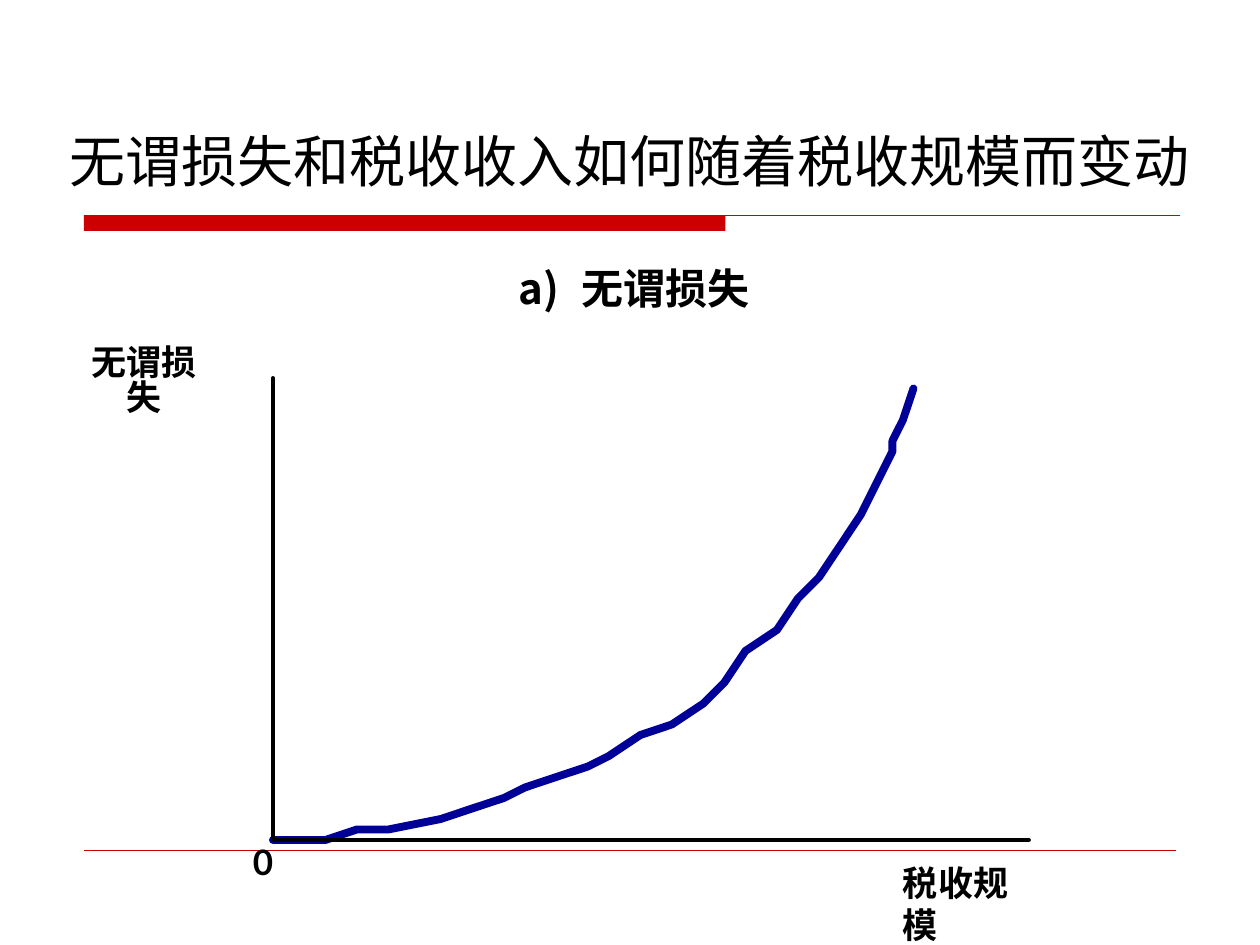
from lxml.etree import SubElement
from pptx import Presentation
from pptx.dml.color import RGBColor as Rgb
from pptx.enum.shapes import MSO_CONNECTOR as Connector, MSO_SHAPE as Shape
from pptx.enum.text import MSO_ANCHOR as Anchor, MSO_AUTO_SIZE as AutoSize, PP_ALIGN as Align
from pptx.oxml.ns import qn
from pptx.util import Inches, Pt

THEME = {
    "black": Rgb.from_string("000000"),
    "red": Rgb.from_string("CC0000"),
    "blue": Rgb.from_string("000099"),
    "title": ("DejaVu Sans", 32),
    "subtitle": ("Arial", 24),
    "label": ("Lato", 20),
}
COLUMNS, ROWS = 120, 90

presentation = Presentation()
presentation.slide_width, presentation.slide_height = Inches(10), Inches(7.5)
unit = presentation.slide_width // COLUMNS  # the grid is square: 90 rows fill the height
slide = presentation.slides.add_slide(presentation.slide_layouts[6])
shapes = slide.shapes


def add_text(text, style, column, row, columns, rows, align=Align.LEFT, bold=True):
    box = shapes.add_textbox(*(round(n * unit) for n in (column, row, columns, rows)))
    frame = box.text_frame
    frame.margin_left = frame.margin_right = frame.margin_top = frame.margin_bottom = 0
    frame.word_wrap = False
    frame.auto_size = AutoSize.SHAPE_TO_FIT_TEXT
    paragraph = frame.paragraphs[0]
    paragraph.text = text
    paragraph.alignment = align
    font = paragraph.runs[0].font
    font.name, size = THEME[style]
    font.size, font.bold = Pt(size), bold
    font.color.rgb = THEME["black"]
    return frame


def add_path(points, color, width):
    """Draw an open line with round ends through grid points."""
    builder = shapes.build_freeform(*points[0], scale=unit)
    builder.add_line_segments(points[1:], close=False)
    shape = builder.convert_to_shape()
    shape.shadow.inherit = False
    shape.fill.background()
    shape.line.color.rgb = THEME[color]
    shape.line.width = Pt(width)
    outline = shape.line._get_or_add_ln()
    outline.set("cap", "rnd")
    SubElement(outline, qn("a:round"))


# Red band and thin rules
left, right, band_top = 8, 112, 20.5
band = shapes.add_shape(Shape.RECTANGLE, *(round(n * unit) for n in (left, band_top, 61.1, 1.5)))
band.shadow.inherit = False
band.fill.solid()
band.fill.fore_color.rgb = THEME["red"]
band.line.fill.background()
for row, end, width in ((band_top, 112.4, 0.75), (81, right, 0.25)):
    rule = shapes.add_connector(
        Connector.STRAIGHT, *(round(n * unit) for n in (left, row, end, row)))
    rule.line.color.rgb = THEME["red"]
    rule.line.width = Pt(width)
    SubElement(rule._element.spPr, qn("a:effectLst"))

# Title and numbered subtitle
title = add_text("无谓损失和税收收入如何随着税收规模而变动", "title",
                 0, 4, COLUMNS, 15, Align.CENTER, bold=False)
title.auto_size = AutoSize.NONE
title.word_wrap = True
title.vertical_anchor = Anchor.BOTTOM
title.margin_left = title.margin_right = Inches(0.1)
title.margin_top = title.margin_bottom = Inches(0.05)
title.paragraphs[0].line_spacing = 1.5

subtitle = add_text("无谓损失", "subtitle", 49.4, 25, 22, 4.8, Align.CENTER)
properties = subtitle.paragraphs[0]._p.get_or_add_pPr()
properties.set("marL", str(Inches(0.5)))
properties.set("indent", str(-Inches(0.5)))
SubElement(properties, qn("a:buAutoNum"), type="alphaLcParenR")

# Axis labels
axis_label = add_text("无谓损失", "label", 7.1, 33, 13.3, 3.4, Align.CENTER)
axis_label.paragraphs[0].line_spacing = 0.85
add_text("0", "label", 24.1, 80, 1.9, 4)
add_text("税收规模", "label", 86, 82, 13.3, 4)

# Deadweight loss rises faster than the tax
add_path([
    (26, 79.7), (30.8, 79.7), (33.7, 79.4), (37.4, 78.8), (41.8, 78), (44.6, 77.2),
    (47.5, 76.2), (50.4, 75.4), (52.8, 74.5), (55.7, 73.1), (58.2, 71.9), (61.1, 70.4),
    (63.7, 68.6), (66.6, 66.6), (69.1, 64.6), (71.4, 62.3), (74, 60), (76.1, 57.4),
    (78, 55.1), (80, 52.1), (81.8, 49.2), (83.3, 46.6), (84.6, 43.4), (85.2, 41.6),
    (86.2, 39.6), (87, 37),
], "blue", 4.5)
add_path([(26, 36), (26, 80), (98, 80)], "black", 2.25)

presentation.save("out.pptx")
